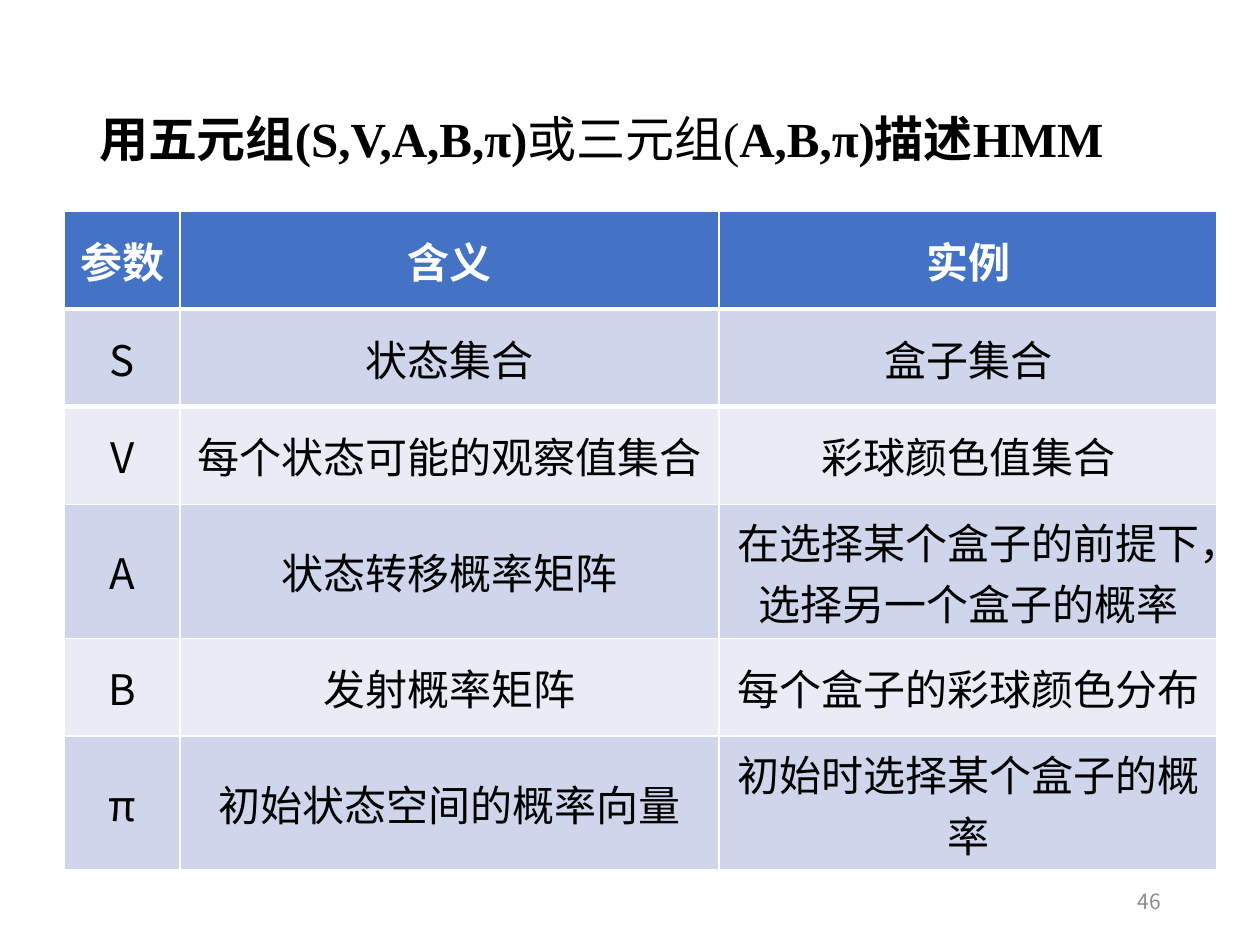
"""Build a slide with a table of the parameters of a hidden Markov model."""
from lxml.etree import SubElement
from pptx import Presentation
from pptx.dml.color import RGBColor
from pptx.enum.text import MSO_ANCHOR, PP_ALIGN
from pptx.oxml.ns import qn
from pptx.util import Cm, Pt

SANS = "Noto Sans CJK SC"
SERIF = "Times New Roman"
TITLE = [("用五元组(S,V,A,B,π)", True), ("或三元组(", False), ("A,B,π)描述HMM", True)]
PAGE_NUMBER = "46"
SINGLE_LINE, DOUBLE_LINE = 1.97, 2.7
ROWS = [
    (SINGLE_LINE, ("参数", "含义", "实例")),
    (SINGLE_LINE, ("S", "状态集合", "盒子集合")),
    (SINGLE_LINE, ("V", "每个状态可能的观察值集合", "彩球颜色值集合")),
    (DOUBLE_LINE, ("A", "状态转移概率矩阵", "在选择某个盒子的前提下，选择另一个盒子的概率")),
    (SINGLE_LINE, ("B", "发射概率矩阵", "每个盒子的彩球颜色分布")),
    (DOUBLE_LINE, ("π", "初始状态空间的概率向量", "初始时选择某个盒子的概率")),
]
COLUMN_WIDTHS = (2.33, 10.87, 10.03)
HEADER_FILL = "4472C4"
BAND_FILLS = ("E9EBF5", "CFD5EA")
HEADER_RULE_SIDES = {0: "a:lnB", 1: "a:lnT"}


def color(value):
    return RGBColor.from_string(value)


def write(paragraph, text, size=24, font=SANS, fill="000000", bold=False, align=PP_ALIGN.LEFT):
    paragraph.alignment = align
    run = paragraph.add_run()
    run.text = text
    run.font.size = Pt(size)
    run.font.name = font
    run.font.bold = bold
    run.font.color.rgb = color(fill)
    SubElement(run.font._element, qn("a:ea")).set("typeface", SANS)


def add_text_frame(slide, left, top, width, height):
    frame = slide.shapes.add_textbox(Cm(left), Cm(top), Cm(width), Cm(height)).text_frame
    frame.word_wrap = True
    frame.vertical_anchor = MSO_ANCHOR.MIDDLE
    return frame


def add_border(cell, side, width, value):
    properties = cell._tc.get_or_add_tcPr()
    line = SubElement(properties, qn(side), w=str(Pt(width)))
    SubElement(SubElement(line, qn("a:solidFill")), qn("a:srgbClr"), val=value)
    properties.insert(0, line)


def add_parameter_table(slide):
    table = slide.shapes.add_table(
        len(ROWS), len(COLUMN_WIDTHS), Cm(1.3), Cm(4.26),
        Cm(sum(COLUMN_WIDTHS)), Cm(sum(height for height, _ in ROWS))).table
    for column, width in zip(table.columns, COLUMN_WIDTHS):
        column.width = Cm(width)
    for row_index, (height, texts) in enumerate(ROWS):
        table.rows[row_index].height = Cm(height)
        header = row_index == 0
        for column_index, text in enumerate(texts):
            cell = table.cell(row_index, column_index)
            cell.vertical_anchor = MSO_ANCHOR.MIDDLE
            cell.fill.solid()
            cell.fill.fore_color.rgb = color(HEADER_FILL if header else BAND_FILLS[row_index % 2])
            if row_index in HEADER_RULE_SIDES:
                add_border(cell, HEADER_RULE_SIDES[row_index], 3, "FFFFFF")
            write(cell.text_frame.paragraphs[0], text, bold=header,
                  fill="FFFFFF" if header else "000000", align=PP_ALIGN.CENTER)


def main():
    presentation = Presentation()
    presentation.slide_width, presentation.slide_height = Cm(25.4), Cm(19.05)
    slide = presentation.slides.add_slide(presentation.slide_layouts[6])

    title = add_text_frame(slide, 1.75, 1.02, 21.9, 3.68)
    title.margin_right = Cm(0.6)
    title.paragraphs[0].line_spacing = 0.9
    for text, bold in TITLE:
        write(title.paragraphs[0], text, size=28, font=SERIF, bold=bold)

    page_number = add_text_frame(slide, 17.94, 17.66, 5.71, 1.01)
    write(page_number.paragraphs[0], PAGE_NUMBER, size=12, fill="8C8C8C", align=PP_ALIGN.RIGHT)

    add_parameter_table(slide)
    presentation.save("out.pptx")


if __name__ == "__main__":
    main()
